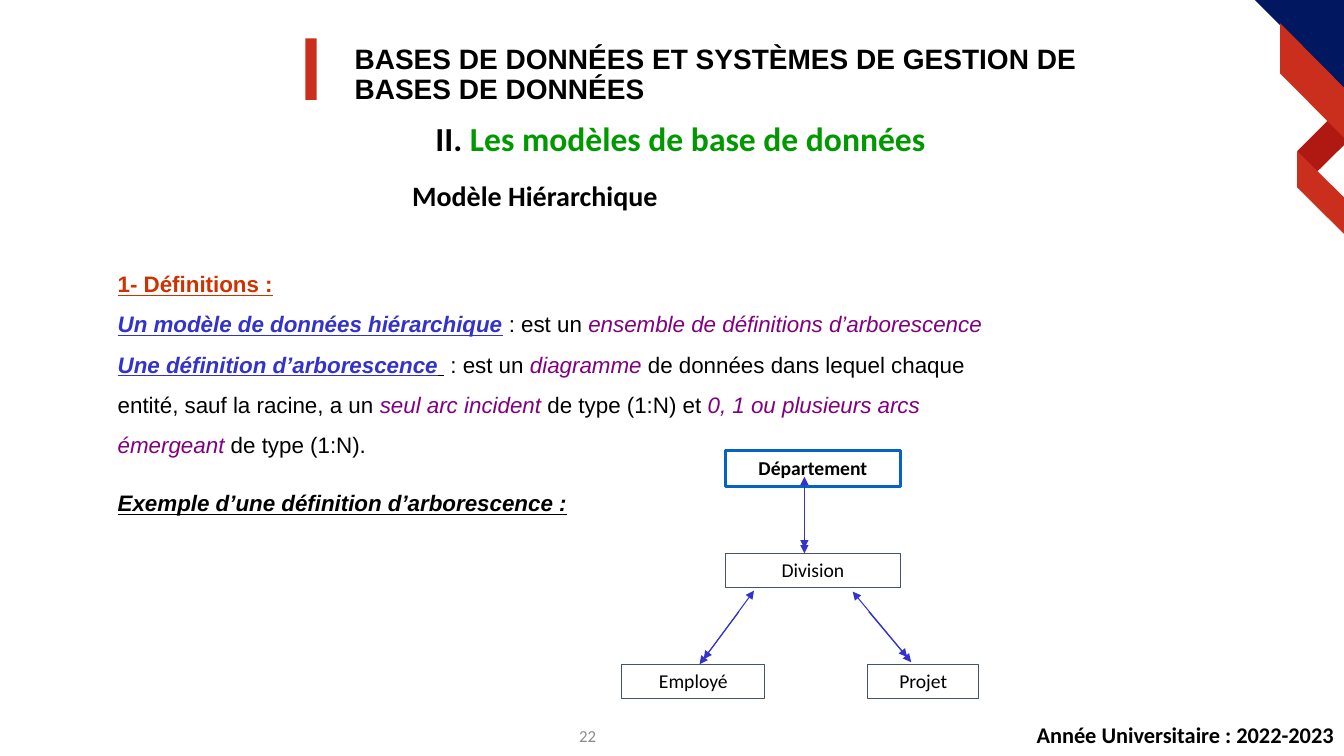
from dataclasses import dataclass

from lxml import etree
from pptx import Presentation
from pptx import util as u
from pptx.dml.color import RGBColor
from pptx.enum import shapes, text
from pptx.oxml import ns

Pt = u.Pt


@dataclass(frozen=True)
class Theme:
    black: str = "000000"
    red: str = "CA2F1D"
    dark_red: str = "B01912"
    navy: str = "011760"
    green: str = "009900"
    orange: str = "CC3300"
    blue: str = "3333CC"
    purple: str = "800080"
    root_line: str = "0563C1"
    node_line: str = "44546A"
    grey: str = "8C8C8C"
    sans: str = "Arial"
    body: str = "Calibri"
    heading_size: int = 24
    title_size: int = 20
    text_size: int = 16
    node_size: int = 14
    number_size: int = 12


THEME = Theme()


def rgb(value):
    return RGBColor.from_string(value)


def span(words, color=THEME.black, style=""):
    """Describe one run; style holds any of b, i and u."""
    return words, color, style


def add_para(frame, spans, size, font, align=text.PP_ALIGN.LEFT, spacing=1.0, before=0, first=False):
    para = frame.paragraphs[0] if first else frame.add_paragraph()
    para.alignment = align
    para.line_spacing = spacing
    para.space_before = Pt(before)
    for words, color, style in spans:
        run = para.add_run()
        run.text = words
        run.font.name = font
        run.font.size = Pt(size)
        run.font.color.rgb = rgb(color)
        run.font.bold = "b" in style
        run.font.italic = "i" in style
        run.font.underline = "u" in style


def add_text(page, left, top, width, height, spans, size, font=THEME.body, **layout):
    box = page.shapes.add_textbox(Pt(left), Pt(top), Pt(width), Pt(height))
    box.text_frame.word_wrap = True
    add_para(box.text_frame, spans, size, font, first=True, **layout)
    return box.text_frame


def add_polygon(page, color, points):
    corners = [(Pt(x), Pt(y)) for x, y in points]
    builder = page.shapes.build_freeform(*corners[0], scale=1.0)
    builder.add_line_segments(corners[1:], close=True)
    paint(builder.convert_to_shape(), color)


def paint(shape, color):
    shape.shadow.inherit = False
    shape.fill.solid()
    shape.fill.fore_color.rgb = rgb(color)
    shape.line.fill.background()


def add_node(page, label, left, top, width, height=24.5, line=THEME.node_line, weight=0.75, style=""):
    node = page.shapes.add_shape(shapes.MSO_SHAPE.RECTANGLE, Pt(left), Pt(top), Pt(width), Pt(height))
    node.shadow.inherit = False
    node.fill.background()
    node.line.color.rgb = rgb(line)
    node.line.width = Pt(weight)
    node.text_frame.word_wrap = True
    node.text_frame.vertical_anchor = text.MSO_ANCHOR.TOP
    add_para(node.text_frame, [span(label, style=style)], THEME.node_size, THEME.body,
             align=text.PP_ALIGN.CENTER, first=True)


def add_arrow(page, start, end, ends):
    arrow = page.shapes.add_connector(
        shapes.MSO_CONNECTOR.STRAIGHT, Pt(start[0]), Pt(start[1]), Pt(end[0]), Pt(end[1]))
    arrow.line.color.rgb = rgb(THEME.blue)
    arrow.line.width = Pt(0.75)
    outline = arrow.line._get_or_add_ln()
    for name in ends:
        etree.SubElement(outline, ns.qn(f"a:{name}"), type="triangle")
    etree.SubElement(arrow._element.spPr, ns.qn("a:effectLst"))


def add_one_to_many(page, parent, inner, middle, child):
    """One arrowhead at the parent, two at the child."""
    add_arrow(page, parent, inner, ("headEnd", "tailEnd"))
    add_arrow(page, middle, child, ("tailEnd",))


def add_decoration(page):
    add_polygon(page, THEME.dark_red, [(949.7, 85), (960, 97.2), (960, 103.7), (939.6, 123.8), (926.6, 108)])
    add_polygon(page, THEME.navy, [(896.4, 0), (960, 0), (960, 63.4)])
    add_polygon(page, THEME.red, [(926.6, 108), (960, 140.9), (960, 167), (926.6, 133.9)])
    add_polygon(page, THEME.red, [(914.4, 16.6), (960, 62.6), (960, 98.3), (914.4, 52.6)])
    bar = page.shapes.add_shape(shapes.MSO_SHAPE.RECTANGLE, Pt(218.2), Pt(27.4), Pt(7.9), Pt(43.9))
    paint(bar, THEME.red)


def add_headings(page):
    add_text(page, 246.2, 28.8, 568.8, 46.8,
             [span("BASES DE DONNÉES ET SYSTÈMES DE GESTION DE BASES DE DONNÉES", style="b")],
             THEME.title_size, THEME.sans, spacing=0.9)
    add_text(page, 304, 84.2, 400, 36,
             [span("II. ", style="b"), span("Les modèles de base de données", THEME.green, "b")],
             THEME.heading_size, spacing=0.9)
    add_text(page, 287.3, 123.8, 191.5, 31.7, [span("Modèle Hiérarchique", style="b")], THEME.title_size)


def add_definitions(page):
    frame = add_text(page, 77, 180, 668.9, 221, [span("1- Définitions :", THEME.orange, "bu")],
                     THEME.text_size, THEME.sans, spacing=1.5)
    lines = [
        [span("Un modèle de données hiérarchique", THEME.blue, "biu"), span(" : est un "),
         span("ensemble de définitions d’arborescence", THEME.purple, "i")],
        [span("Une définition d’arborescence", THEME.blue, "biu"), span(" ", style="biu"),
         span(" : est un "), span("diagramme", THEME.purple, "i"),
         span(" de données dans lequel chaque")],
        [span("entité, sauf la racine, a un "), span("seul arc incident", THEME.purple, "i"),
         span(" de type (1:N) et "), span("0, 1 ou plusieurs arcs", THEME.purple, "i")],
        [span("émergeant", THEME.purple, "i"), span(" de type (1:N).")],
    ]
    for spans in lines:
        add_para(frame, spans, THEME.text_size, THEME.sans, spacing=1.5)
    add_para(frame, [span("Exemple d’une définition d’arborescence :", style="biu")],
             THEME.text_size, THEME.sans, spacing=1.5, before=12.6)


def add_tree(page):
    add_node(page, "Département", 518.4, 321.8, 124.6, 25.9, THEME.root_line, 2.25, "b")
    add_node(page, "Division", 518.4, 395.3, 124.6)
    add_node(page, "Employé", 444.2, 474.5, 102.2)
    add_node(page, "Projet", 619.9, 474.5, 79.2)
    add_one_to_many(page, (574.6, 340.6), (574.6, 391.7), (574.6, 356.4), (574.6, 395.3))
    add_one_to_many(page, (538.6, 421.9), (502.6, 470.9), (527.8, 437), (499.7, 474.5))
    add_one_to_many(page, (609.1, 422.6), (648, 469.4), (620.6, 437), (650.9, 473))


def add_footer(page):
    add_text(page, 680, 511.2, 280, 27, [span("Année Universitaire : 2022-2023", style="b")],
             THEME.text_size, align=text.PP_ALIGN.RIGHT)
    number = add_text(page, 311.8, 511.2, 216, 28.8, [span("22", THEME.grey)],
                      THEME.number_size, align=text.PP_ALIGN.CENTER)
    number.vertical_anchor = text.MSO_ANCHOR.MIDDLE


def main():
    deck = Presentation()
    deck.slide_width, deck.slide_height = Pt(960), Pt(540)
    page = deck.slides.add_slide(deck.slide_layouts[6])
    add_decoration(page)
    add_headings(page)
    add_definitions(page)
    # Example tree with its one-to-many links
    add_tree(page)
    # Academic year and page number
    add_footer(page)
    deck.save("out.pptx")


if __name__ == "__main__":
    main()
